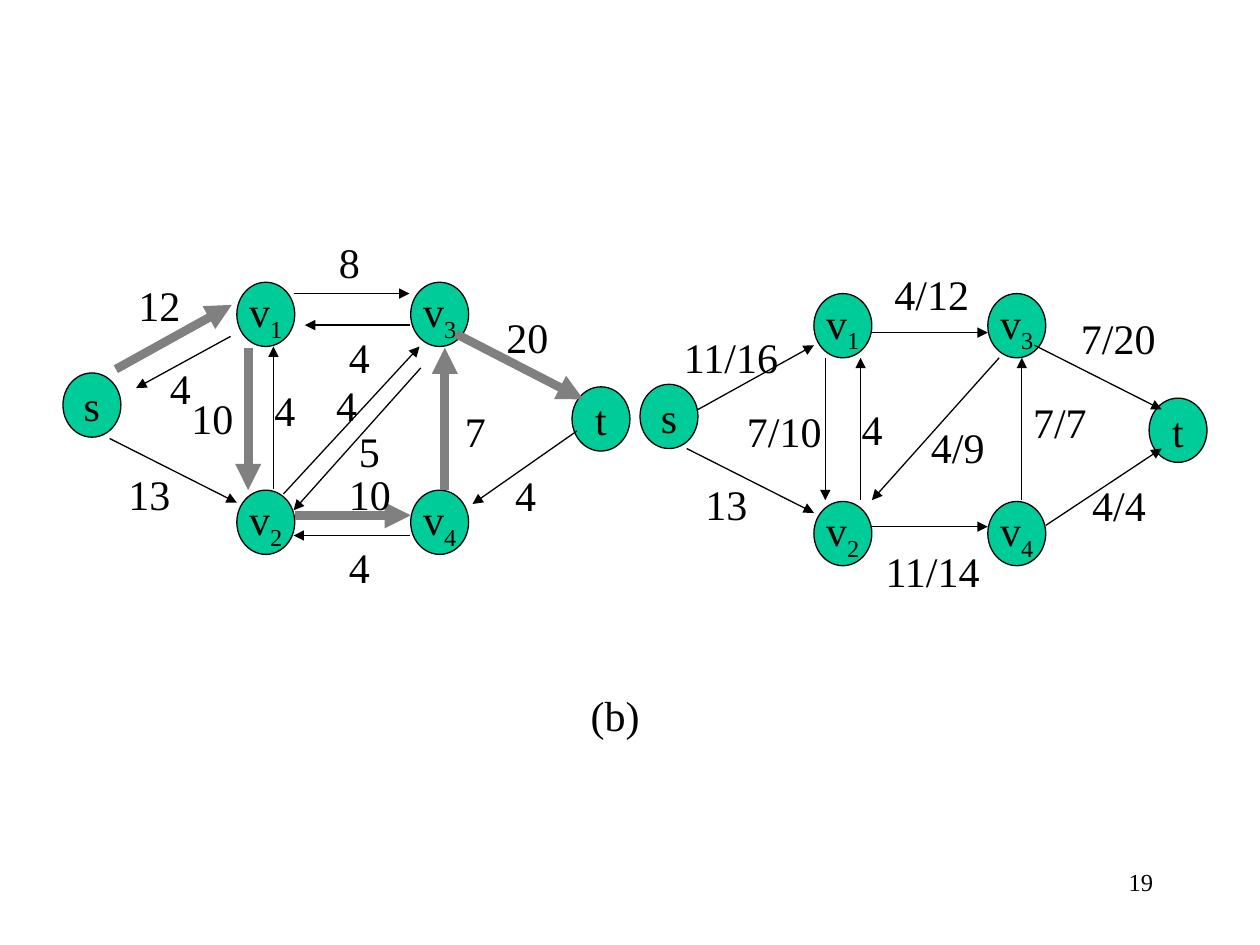
from pptx import Presentation
from pptx.dml.color import RGBColor
from pptx.enum.shapes import MSO_CONNECTOR as Link, MSO_SHAPE as Shape
from pptx.enum.text import MSO_ANCHOR as Anchor, PP_ALIGN as Align
from pptx.oxml.ns import qn
from pptx.util import Inches, Pt
from lxml.etree import SubElement

BLACK = RGBColor(0x00, 0x00, 0x00)
GREEN = RGBColor(0x00, 0xCC, 0x99)
GRAY = RGBColor(0x80, 0x80, 0x80)
FONT = "Times New Roman"
NODE_W, NODE_H = 0.46, 0.51

# Nodes: name, index, offset from node s
NODES = [
    ("s", "", 0, 0),
    ("v", "1", 1.38, -0.72), ("v", "2", 1.38, 0.93),
    ("v", "3", 2.76, -0.72), ("v", "4", 2.76, 0.93),
    ("t", "", 4.04, 0.11),
]

# Residual network: thick edges form the augmenting path
# Edges: x1, y1, x2, y2; labels: text, left, top
RESIDUAL = {
    "start": (0.5, 2.96),
    "thin": [
        (1.83, 2.67, 1.08, 3.08), (2.33, 2.33, 3.25, 2.33),
        (0.87, 3.48, 1.88, 3.99), (2.17, 3.88, 2.17, 2.75),
        (3.34, 2.92, 2.33, 4.05), (3.25, 2.58, 2.42, 2.58),
        (2.25, 3.92, 3.33, 2.75), (3.25, 4.25, 2.33, 4.25),
        (4.58, 3.42, 3.75, 4.0),
    ],
    "thick": [
        (0.92, 2.93, 1.84, 2.42), (1.97, 2.76, 1.97, 3.89),
        (2.34, 4.09, 3.26, 4.09), (3.53, 3.89, 3.53, 2.76),
        (3.62, 2.65, 4.63, 3.17),
    ],
    "labels": [
        ("12", 1.0, 2.17), ("4", 1.25, 2.83), ("13", 0.92, 3.67),
        ("8", 2.59, 1.83), ("4", 2.67, 2.58), ("10", 1.42, 3.07),
        ("4", 2.08, 3.0), ("4", 2.57, 2.96), ("5", 2.75, 3.33),
        ("10", 2.67, 3.67), ("4", 2.67, 4.25), ("7", 3.59, 3.17),
        ("20", 3.92, 2.42), ("4", 3.99, 3.68),
    ],
}

# Flow network: flow / capacity
FLOW = {
    "start": (5.08, 3.05),
    "thin": [
        (5.54, 3.25, 6.46, 2.74), (6.92, 2.64, 7.84, 2.64),
        (8.21, 2.74, 9.22, 3.25), (5.45, 3.56, 6.46, 4.07),
        (6.92, 4.18, 7.84, 4.18), (8.3, 4.17, 9.22, 3.56),
        (6.55, 2.84, 6.55, 3.97), (6.83, 3.97, 6.83, 2.84),
        (8.11, 3.97, 8.11, 2.84), (7.93, 2.84, 6.92, 3.97),
    ],
    "thick": [],
    "labels": [
        ("11/16", 5.33, 2.58), ("13", 5.5, 3.75), ("4/12", 7.0, 2.08),
        ("7/10", 5.83, 3.17), ("4", 6.74, 3.15), ("4/9", 7.29, 3.3),
        ("7/20", 8.48, 2.43), ("4/4", 8.57, 3.76), ("7/7", 8.1, 3.1),
        ("11/14", 6.93, 4.28),
    ],
}
CAPTION = ("(b)", 4.59, 5.42)
PAGE = "19"

deck = Presentation()
deck.slide_width, deck.slide_height = Inches(10), Inches(7.5)
slide = deck.slides.add_slide(deck.slide_layouts[6])
shapes = slide.shapes


def style(run, size=24):
    run.font.name, run.font.size = FONT, Pt(size)
    run.font.color.rgb = BLACK


def add_node(name, index, left, top):
    node = shapes.add_shape(Shape.OVAL, Inches(left), Inches(top),
                            Inches(NODE_W), Inches(NODE_H))
    node.shadow.inherit = False
    node.fill.solid()
    node.fill.fore_color.rgb = GREEN
    node.line.color.rgb = BLACK
    node.line.width = Pt(0.75)
    frame = node.text_frame
    frame.word_wrap = False
    frame.vertical_anchor = Anchor.MIDDLE
    para = frame.paragraphs[0]
    para.alignment = Align.CENTER
    for text in filter(None, (name, index)):
        run = para.add_run()
        run.text = text
        style(run)
        if text == index:
            run.font._element.set("baseline", "-25000")


def add_edge(ends, color, width):
    edge = shapes.add_connector(Link.STRAIGHT, *map(Inches, ends))
    edge.line.color.rgb = color
    edge.line.width = Pt(width)
    SubElement(edge.line._get_or_add_ln(), qn("a:tailEnd"), type="triangle")
    SubElement(edge._element.spPr, qn("a:effectLst"))


def add_text(text, left, top, width, size=24, align=Align.LEFT):
    box = shapes.add_textbox(Inches(left), Inches(top), Inches(width), Inches(0.5))
    frame = box.text_frame
    frame.text = text
    frame.word_wrap = True
    para = frame.paragraphs[0]
    para.alignment = align
    style(para.runs[0], size)


def add_label(text, left, top):
    # Digits are wider than slashes and brackets; a little room is left over
    width = 0.22 + sum(0.12 if c in "/()" else 0.17 for c in text)
    add_text(text, left, top, width)


# Both networks
for net in (RESIDUAL, FLOW):
    x, y = net["start"]
    for name, index, dx, dy in NODES:
        add_node(name, index, x + dx, y + dy)
    for ends in net["thin"]:
        add_edge(ends, BLACK, 0.75)
    for ends in net["thick"]:
        add_edge(ends, GRAY, 5)
    for label in net["labels"]:
        add_label(*label)

# Caption and page number
add_label(*CAPTION)
add_text(PAGE, 7.17, 6.83, 2.08, 14, Align.RIGHT)

deck.save("out.pptx")
